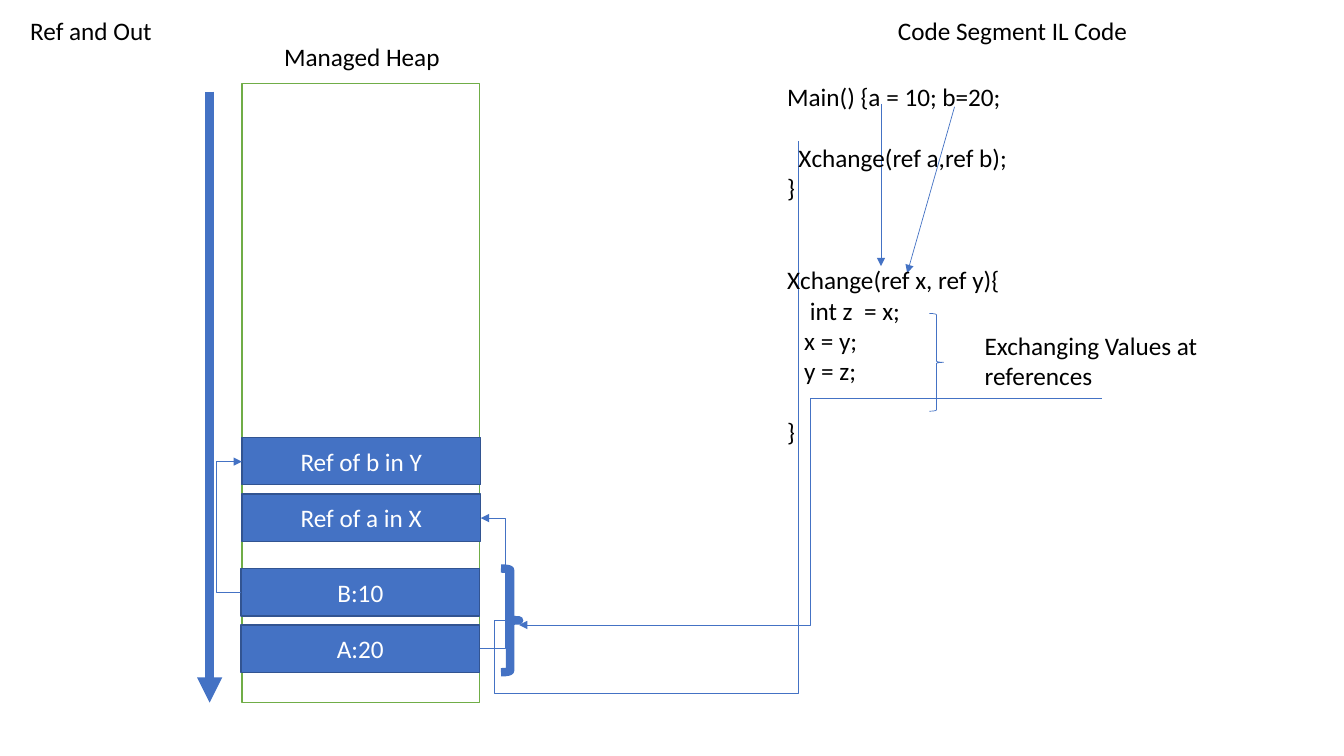
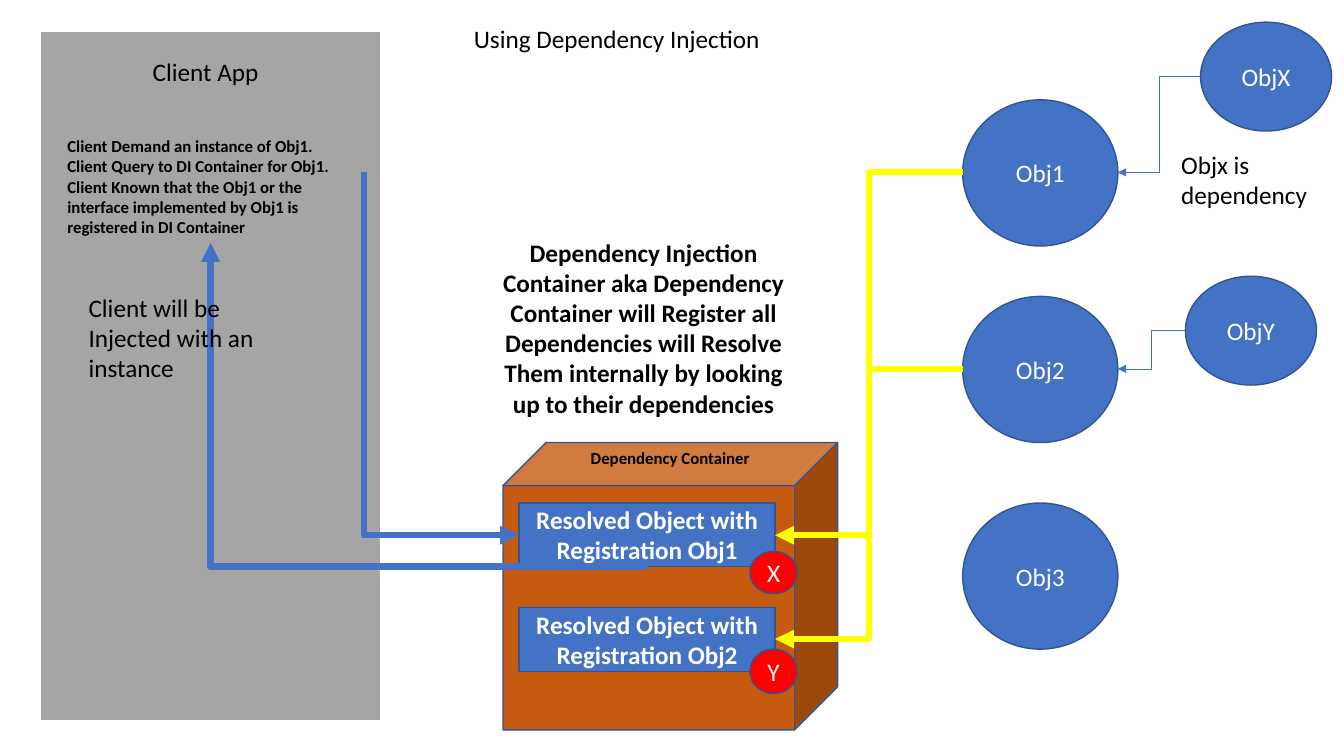
from lxml import etree
from pptx import Presentation
from pptx import util as u
from pptx.dml.color import RGBColor
from pptx.enum import shapes, text
from pptx.oxml.ns import qn

BLUE, OUTLINE, BLACK, WHITE, YELLOW = "4472C4", "325491", "000000", "FFFFFF", "FFFF00"
GREEN, GRAY, BROWN, RED = "70AD47", "A5A5A5", "C55A11", "FF0000"
RECT, OVAL, BRACE, CUBE = (shapes.MSO_SHAPE.RECTANGLE, shapes.MSO_SHAPE.OVAL,
                           shapes.MSO_SHAPE.RIGHT_BRACE, shapes.MSO_SHAPE.CUBE)
STRAIGHT, ELBOW = shapes.MSO_CONNECTOR.STRAIGHT, shapes.MSO_CONNECTOR.ELBOW
LEFT, CENTER = text.PP_ALIGN.LEFT, text.PP_ALIGN.CENTER
TOP, MIDDLE = text.MSO_ANCHOR.TOP, text.MSO_ANCHOR.MIDDLE
COLUMNS, ROWS = 160, 90
LINE_HEIGHT, SPACE_WIDTH = 22, 4.07


def paint(fill, color):
    fill.solid()
    fill.fore_color.rgb = RGBColor.from_string(color)


def write(shape, content, size=18, color=BLACK, bold=False, align=LEFT, anchor=TOP):
    frame = shape.text_frame
    frame.word_wrap = True
    frame.auto_size = text.MSO_AUTO_SIZE.NONE
    frame.vertical_anchor = anchor
    lines = [(content, 0, 0)] if isinstance(content, str) else content
    for index, (words, indent, skipped) in enumerate(lines):
        paragraph = frame.add_paragraph() if index else frame.paragraphs[0]
        paragraph.alignment = align
        paragraph.space_before = u.Pt(skipped * LINE_HEIGHT)
        if indent:
            paragraph._p.get_or_add_pPr().set("marL", str(u.Pt(indent * SPACE_WIDTH)))
        run = paragraph.add_run()
        run.text = words
        run.font.name, run.font.size, run.font.bold = "Calibri", u.Pt(size), bold
        paint(run.font.fill, color)


code_lines = [
    ("Main() {a = 10; b=20;", 0, 0),
    ("Xchange(ref a,ref b);", 2, 1),
    ("}", 0, 0),
    ("Xchange(ref x, ref y){", 0, 2),
    ("int z  = x;", 4, 0),
    ("x = y;", 3, 0),
    ("y = z;", 3, 0),
    ("}", 0, 1),
]
centered = {"align": CENTER}
caption = {"size": 12, "bold": True}

memory_boxes = [
    (RECT, (left, top, 28.44, 5.64), BLUE, OUTLINE, 1, label, False)
    for left, top, label in [
        (28.68, 74.4, "A:20"), (28.68, 67.68, "B:10"),
        (28.8, 58.8, "Ref of a in X"), (28.8, 52.08, "Ref of b in Y")]
]
objects = [
    (OVAL, (114.6, top, 18.48, 17.4), BLUE, OUTLINE, 1, label, False)
    for top, label in [(11.88, "Obj1"), (35.28, "Obj2"), (59.88, "Obj3")]
]
dependencies = [
    (OVAL, (left, top, 15.6, 12.96), BLUE, OUTLINE, 1, label, False)
    for left, top, label in [(142.92, 2.64, "ObjX"), (141.12, 32.88, "ObjY")]
]
registrations = [
    (RECT, (61.8, top, 30.48, 7.56), BLUE, OUTLINE, 1,
     f"Resolved Object with Registration {name}", True)
    for top, name in [(59.88, "Obj1"), (72.36, "Obj2")]
]
badges = [
    (OVAL, (89.28, top, 5.64, height), RED, OUTLINE, 1, label, False)
    for top, height, label in [(65.64, 5.04, "X"), (77.28, 5.28, "Y")]
]

pages = [
    {
        "title": ("Ref and Out", (2.4, 1.2, 20.16, 4.8)),
        "shapes": [
            (RECT, (28.8, 9.96, 28.32, 73.68), WHITE, GREEN, 1, "", False),
            *memory_boxes,
            (BRACE, (59.64, 67.68, 2.16, 12.36), None, BLUE, 6, "", False),
            (BRACE, (110.64, 37.32, 1.68, 11.64), None, BLUE, 0.5, "", False),
        ],
        "connectors": [
            ("line", (24.96, 10.92), (24.96, 83.64), [], BLUE, 6, "tailEnd"),
            ("line", (104.88, 12.36), (104.88, 31.68), [], BLUE, 0.5, "tailEnd"),
            ("line", (113.64, 12.72), (108, 32.52), [], BLUE, 0.5, "tailEnd"),
            ("bentConnector4", (61.8, 73.8), (95.04, 16.8), [58.8, 82.56], BLUE, 0.5, "headEnd"),
            ("bentConnector3", (57.12, 77.16), (57.24, 61.68), [60.24], BLUE, 0.5, "tailEnd"),
            ("bentConnector3", (28.68, 70.56), (28.8, 54.96), [25.68], BLUE, 0.5, "tailEnd"),
            ("bentConnector3", (131.16, 47.4), (61.8, 74.4), [96.48], BLUE, 0.5, "tailEnd"),
        ],
        "texts": [
            ("Managed Heap", (28.68, 4.32, 28.8, 4.8), centered),
            (code_lines, (92.52, 9.12, 59.28, 44.88), {}),
            ("Code Segment IL Code", (92.52, 1.2, 56.04, 4.8), centered),
            ("Exchanging Values at references", (116.04, 38.76, 30.24, 8.52), {}),
        ],
    },
    {
        "title": ("Using Dependency Injection", (55.2, 2.16, 48.72, 4.8)),
        "shapes": [
            (RECT, (4.8, 3.72, 40.56, 82.08), GRAY, WHITE, 1.5, "", False),
            *objects,
            *dependencies,
            (CUBE, (59.88, 52.68, 39.84, 34.2), BROWN, OUTLINE, 1, "", False),
            *registrations,
            *badges,
        ],
        "connectors": [
            ("bentConnector3", (142.92, 9.12), (133.08, 20.52), [138], BLUE, 0.5, "tailEnd"),
            ("bentConnector3", (141.12, 39.36), (133.08, 43.92), [137.1], BLUE, 0.5, "tailEnd"),
            ("bentConnector3", (114.6, 20.52), (92.28, 63.72), [103.44], YELLOW, 4.5, "tailEnd"),
            ("bentConnector3", (114.6, 43.92), (92.28, 76.08), [103.44], YELLOW, 4.5, "tailEnd"),
            ("bentConnector2", (61.8, 63.72), (43.32, 20.52), [], BLUE, 4.5, "headEnd"),
            ("bentConnector2", (77.04, 67.44), (25.08, 28.92), [], BLUE, 4.5, "tailEnd"),
        ],
        "texts": [
            ("Client App", (5.64, 6.12, 37.68, 4.8), centered),
            ("Objx is dependency", (139.44, 17.16, 19.08, 8.52), {}),
            ("Dependency Container", (66.24, 52.68, 27.12, 3.6), caption | centered),
            ("Dependency Injection Container aka Dependency Container will Register all "
             "Dependencies will Resolve Them internally by looking up to their dependencies",
             (57.24, 27.6, 38.76, 23.04), {"bold": True, "align": CENTER}),
            ("Client Demand an instance of Obj1. Client Query to DI Container for Obj1. "
             "Client Known that the Obj1 or the interface implemented by Obj1 is "
             "registered in DI Container", (6.84, 15.6, 36.36, 13.32), caption),
            ("Client will be Injected with an instance", (9.36, 34.2, 25.44, 12.12), {}),
        ],
    },
]

presentation = Presentation()
presentation.slide_width, presentation.slide_height = u.Inches(13.33), u.Inches(7.5)
column, row = presentation.slide_width / COLUMNS, presentation.slide_height / ROWS
grid = (column, row, column, row)

for page in pages:
    slide = presentation.slides.add_slide(presentation.slide_layouts[5])
    words, box = page["title"]
    title = slide.shapes.title
    title.left, title.top, title.width, title.height = (
        u.Emu(int(cells * unit)) for cells, unit in zip(box, grid))
    write(title, words)

    for kind, box, fill, line, weight, label, bold in page["shapes"]:
        shape = slide.shapes.add_shape(kind, *(int(c * unit) for c, unit in zip(box, grid)))
        shape.shadow.inherit = False
        if fill:
            paint(shape.fill, fill)
        else:
            shape.fill.background()
        paint(shape.line.fill, line)
        shape.line.width = u.Pt(weight)
        if kind == CUBE:
            shape.adjustments[0] = 0.15
        if label:
            write(shape, label, color=WHITE, bold=bold, align=CENTER, anchor=MIDDLE)

    for preset, start, end, bends, color, weight, arrow in page["connectors"]:
        kind = STRAIGHT if preset == "line" else ELBOW
        connector = slide.shapes.add_connector(
            kind, *(int(c * unit) for c, unit in zip(start + end, grid)))
        paint(connector.line.fill, color)
        connector.line.width = u.Pt(weight)
        properties = connector._element.spPr
        geometry = properties.find(qn("a:prstGeom"))
        geometry.set("prst", preset)
        for index, bend in enumerate(bends):
            share = (bend - start[index]) / (end[index] - start[index])
            guide = etree.SubElement(geometry.find(qn("a:avLst")), qn("a:gd"))
            guide.set("name", f"adj{index + 1}")
            guide.set("fmla", f"val {round(share * 100000)}")
        etree.SubElement(properties.find(qn("a:ln")), qn(f"a:{arrow}")).set("type", "triangle")
        etree.SubElement(properties, qn("a:effectLst"))

    for words, box, style in page["texts"]:
        textbox = slide.shapes.add_textbox(*(int(c * unit) for c, unit in zip(box, grid)))
        write(textbox, words, **style)

presentation.save("out.pptx")
